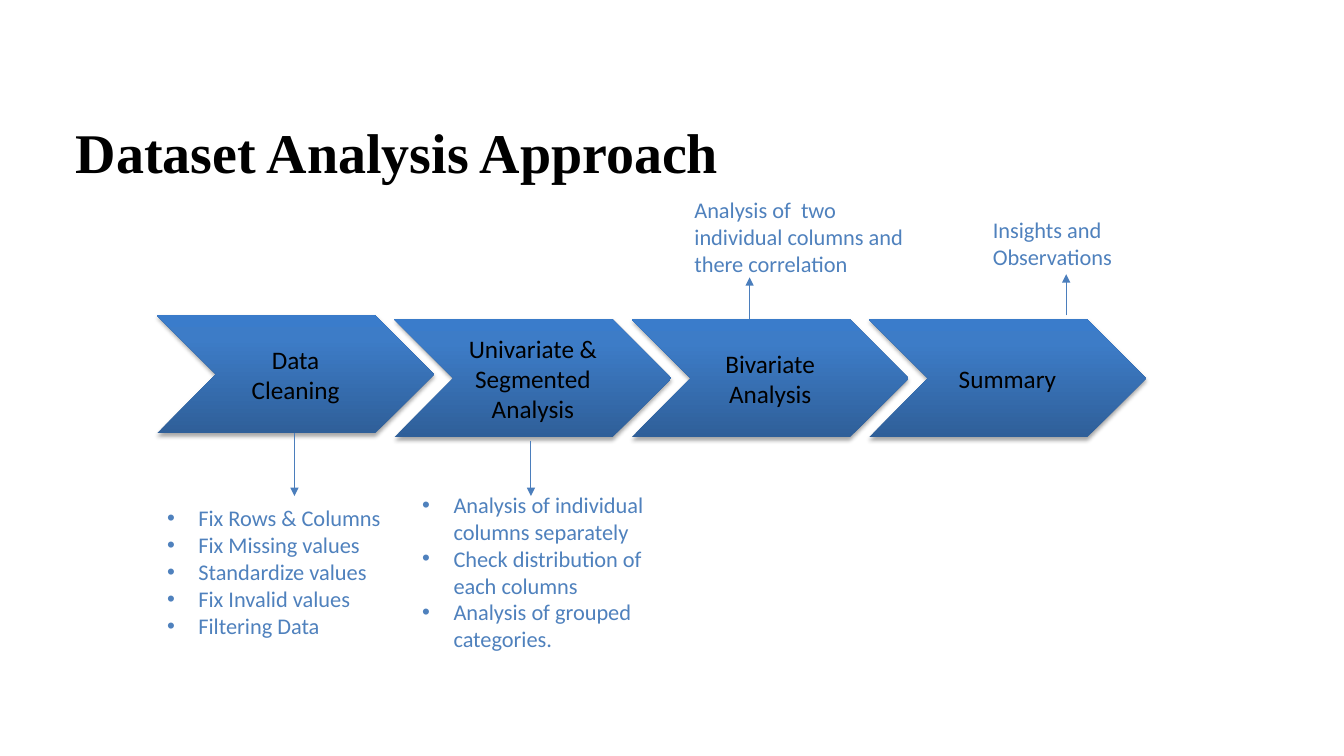
from copy import deepcopy

from lxml import etree
from pptx import Presentation
from pptx.dml.color import RGBColor
from pptx.enum.shapes import MSO_CONNECTOR, MSO_SHAPE
from pptx.enum.text import MSO_ANCHOR, MSO_AUTO_SIZE, PP_ALIGN
from pptx.oxml.ns import qn
from pptx.util import Cm, Pt

CHEVRON = MSO_SHAPE.CHEVRON
STRAIGHT = MSO_CONNECTOR.STRAIGHT
TOP, MIDDLE = MSO_ANCHOR.TOP, MSO_ANCHOR.MIDDLE
LEFT, CENTER = PP_ALIGN.LEFT, PP_ALIGN.CENTER
NO_FIT = MSO_AUTO_SIZE.NONE

BLACK, BLUE, LINE = "000000", "4F81BD", "4B7EBC"
GRADIENT = [(0, "2F5F99"), (0.8, "3D7CC7"), (1, "3A7CCB")]

STEP_LEFT, STEP_PITCH = 3.96, 5.98
STEPS = [
    ("Data Cleaning", 7.95),
    ("Univariate & Segmented Analysis", 8.05),
    ("Bivariate Analysis", 8.05),
    ("Summary", 8.05),
]
# x, start y, end y
ARROWS = [
    (7.42, 10.92, 12.5),
    (13.38, 11.1, 12.5),
    (18.89, 8.05, 6.99),
    (26.87, 7.95, 6.91),
]
# left, top, width, height, lines, bulleted
NOTES = [
    (3.96, 12.5, 6, 3.81, [
        "Fix Rows & Columns",
        "Fix Missing values",
        "Standardize values",
        "Fix Invalid values",
        "Filtering Data",
    ], True),
    (10.39, 12.5, 6.35, 3.81, [
        "Analysis of individual columns separately",
        "Check distribution of each columns",
        "Analysis of grouped categories.",
    ], True),
    (17.25, 5.08, 6, 1.75,
     ["Analysis of  two individual columns and there correlation"], False),
    (24.77, 5.26, 6, 1.75, ["Insights and Observations"], False),
]


def rgb(code):
    return RGBColor.from_string(code)


def style(par, size, color, align=LEFT, name="Calibri", bold=False):
    par.alignment = align
    for run in par.runs:
        font = run.font
        font.size, font.name, font.bold = Pt(size), name, bold
        font.color.rgb = rgb(color)


def set_title(slide, text):
    title = slide.shapes.title
    title.left, title.top = Cm(1.91), Cm(2.9)
    title.width, title.height = Cm(21.36), Cm(1.75)
    frame = title.text_frame
    frame.text = text
    frame.auto_size, frame.vertical_anchor = NO_FIT, TOP
    frame.margin_left = frame.margin_right = frame.margin_bottom = 0
    frame.margin_top = Cm(0.05)
    par = frame.paragraphs[0]
    par.space_before = Pt(1.1)
    style(par, 40, BLACK, name="Times New Roman", bold=True)


def add_shadow(shape):
    shape.shadow.inherit = False
    effects = shape._element.spPr.find(qn("a:effectLst"))
    shadow = etree.SubElement(
        effects, qn("a:outerShdw"), blurRad=str(Pt(3.1)), dist=str(Pt(1.8)),
        dir="5400000", rotWithShape="0")
    color = etree.SubElement(shadow, qn("a:srgbClr"), val=BLACK)
    etree.SubElement(color, qn("a:alpha"), val="35000")


def fill_blend(shape):
    """Fill with the three-stop gradient, darkest at the bottom."""
    fill = shape.fill
    fill.gradient()
    fill.gradient_angle = 90
    stops = shape._element.spPr.find(".//" + qn("a:gsLst"))
    stops.insert(1, deepcopy(stops[0]))
    for stop, (place, color) in zip(fill.gradient_stops, GRADIENT):
        stop.position = place
        stop.color.rgb = rgb(color)


def add_step(slide, left, top, text):
    shape = slide.shapes.add_shape(
        CHEVRON, Cm(left), Cm(top), Cm(6.98), Cm(2.97))
    fill_blend(shape)
    shape.line.fill.background()
    add_shadow(shape)
    frame = shape.text_frame
    frame.text = text
    frame.word_wrap, frame.vertical_anchor = True, MIDDLE
    style(frame.paragraphs[0], 18, BLACK, CENTER)


def add_arrow(slide, x, start, end):
    arrow = slide.shapes.add_connector(
        STRAIGHT, Cm(x), Cm(start), Cm(x), Cm(end))
    arrow.line.color.rgb = rgb(LINE)
    arrow.line.width = Pt(0.75)
    etree.SubElement(arrow.line._ln, qn("a:tailEnd"), type="triangle")
    etree.SubElement(arrow._element.spPr, qn("a:effectLst"))


def add_bullet(par):
    props = par._p.get_or_add_pPr()
    props.set("marL", str(Cm(0.79)))
    props.set("indent", str(Cm(-0.79)))
    etree.SubElement(props, qn("a:buFont"), typeface="Arial")
    etree.SubElement(props, qn("a:buChar"), char="•")


def add_note(slide, left, top, width, height, lines, listed):
    box = slide.shapes.add_textbox(Cm(left), Cm(top), Cm(width), Cm(height))
    frame = box.text_frame
    frame.text = "\n".join(lines)
    frame.word_wrap, frame.vertical_anchor = True, MIDDLE
    for par in frame.paragraphs:
        style(par, 16, BLUE)
        if listed:
            add_bullet(par)


def main():
    deck = Presentation()
    deck.slide_width, deck.slide_height = Cm(33.87), Cm(19.05)
    slide = deck.slides.add_slide(deck.slide_layouts.get_by_name("Title Only"))
    set_title(slide, "Dataset Analysis Approach")
    for i, (text, top) in enumerate(STEPS):
        add_step(slide, STEP_LEFT + i * STEP_PITCH, top, text)
    for arrow in ARROWS:
        add_arrow(slide, *arrow)
    for note in NOTES:
        add_note(slide, *note)
    deck.save("out.pptx")


if __name__ == "__main__":
    main()
